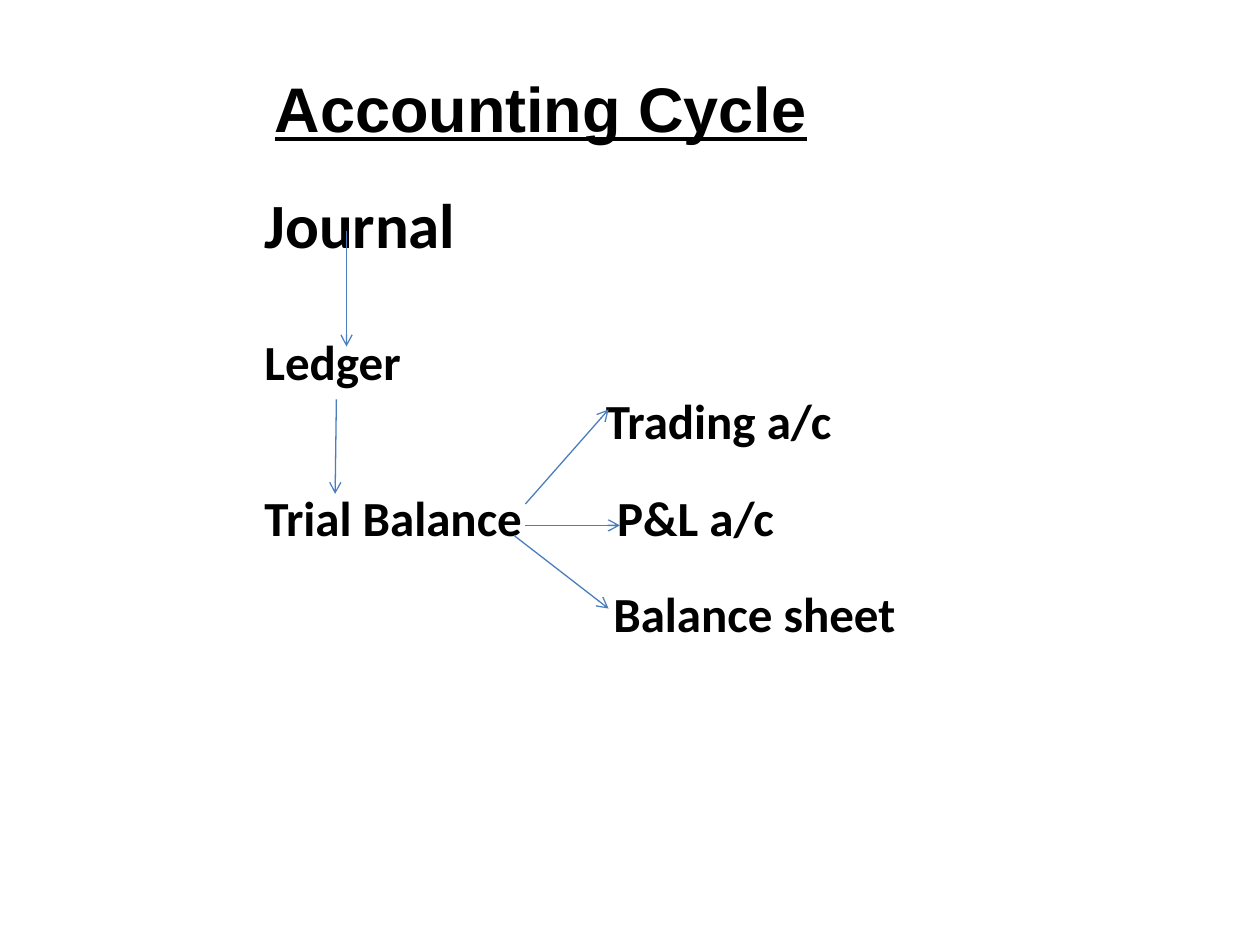
from pptx import Presentation
from pptx.dml.color import RGBColor
from pptx.enum.shapes import MSO_CONNECTOR
from pptx.enum.text import MSO_ANCHOR, MSO_AUTO_SIZE, PP_ALIGN
from pptx.oxml.ns import qn
from pptx.util import Inches, Pt
from lxml.etree import SubElement

THEME = {
    "text": RGBColor(0x00, 0x00, 0x00),
    "arrow": RGBColor(0x4B, 0x7E, 0xBC),
    "arrow_width": Pt(0.75),
    "title": {"name": "Arial", "size": Pt(36), "bold": True, "underline": True},
    "start": {"name": "Calibri", "size": Pt(36), "bold": True},
    "step": {"name": "Calibri", "size": Pt(28), "bold": True},
}


def write(sp, text, style):
    tf = sp.text_frame
    frame = {"word_wrap": False, "auto_size": MSO_AUTO_SIZE.NONE,
             "vertical_anchor": MSO_ANCHOR.TOP}
    for name, value in frame.items():
        setattr(tf, name, value)
    p = tf.paragraphs[0]
    p.alignment = PP_ALIGN.LEFT
    r = p.add_run()
    r.text = text
    for name, value in THEME[style].items():
        setattr(r.font, name, value)
    r.font.color.rgb = THEME["text"]


prs = Presentation()
prs.slide_width, prs.slide_height = Inches(10), Inches(7.5)
s = prs.slides.add_slide(prs.slide_layouts[5])

# Title
title = s.shapes.title
title.left, title.top = Inches(2.08), Inches(0.5)
title.width, title.height = Inches(4.47), Inches(0.71)
write(title, "Accounting Cycle", "title")

# Books of account on the left, final accounts on the right
labels = [
    ("Journal", 2, 1.42, 1.74, 0.71, "start"),
    ("Ledger", 2, 2.58, 1.3, 0.57, "step"),
    ("Trial Balance", 2, 3.82, 2.25, 0.57, "step"),
    ("Trading a/c", 4.71, 3.05, 2, 0.57, "step"),
    ("P&L a/c", 4.8, 3.82, 1.5, 0.57, "step"),
    ("Balance sheet", 4.77, 4.58, 2.45, 0.57, "step"),
]
for text, left, top, width, height, style in labels:
    box = s.shapes.add_textbox(*map(Inches, (left, top, width, height)))
    write(box, text, style)

# Arrows between the stages
arrows = [
    (2.75, 1.83, 2.75, 2.75),  # Journal to Ledger
    (2.67, 3.17, 2.66, 3.92),  # Ledger to Trial Balance
    (4.17, 4, 4.83, 3.25),     # Trial Balance to Trading a/c
    (4.17, 4.17, 4.92, 4.17),  # Trial Balance to P&L a/c
    (4.08, 4.25, 4.83, 4.83),  # Trial Balance to Balance sheet
]
for ends in arrows:
    arrow = s.shapes.add_connector(MSO_CONNECTOR.STRAIGHT, *map(Inches, ends))
    arrow.line.color.rgb = THEME["arrow"]
    arrow.line.width = THEME["arrow_width"]
    SubElement(arrow.line._get_or_add_ln(), qn("a:tailEnd"), type="arrow")
    SubElement(arrow._element.spPr, qn("a:effectLst"))

prs.save("out.pptx")
